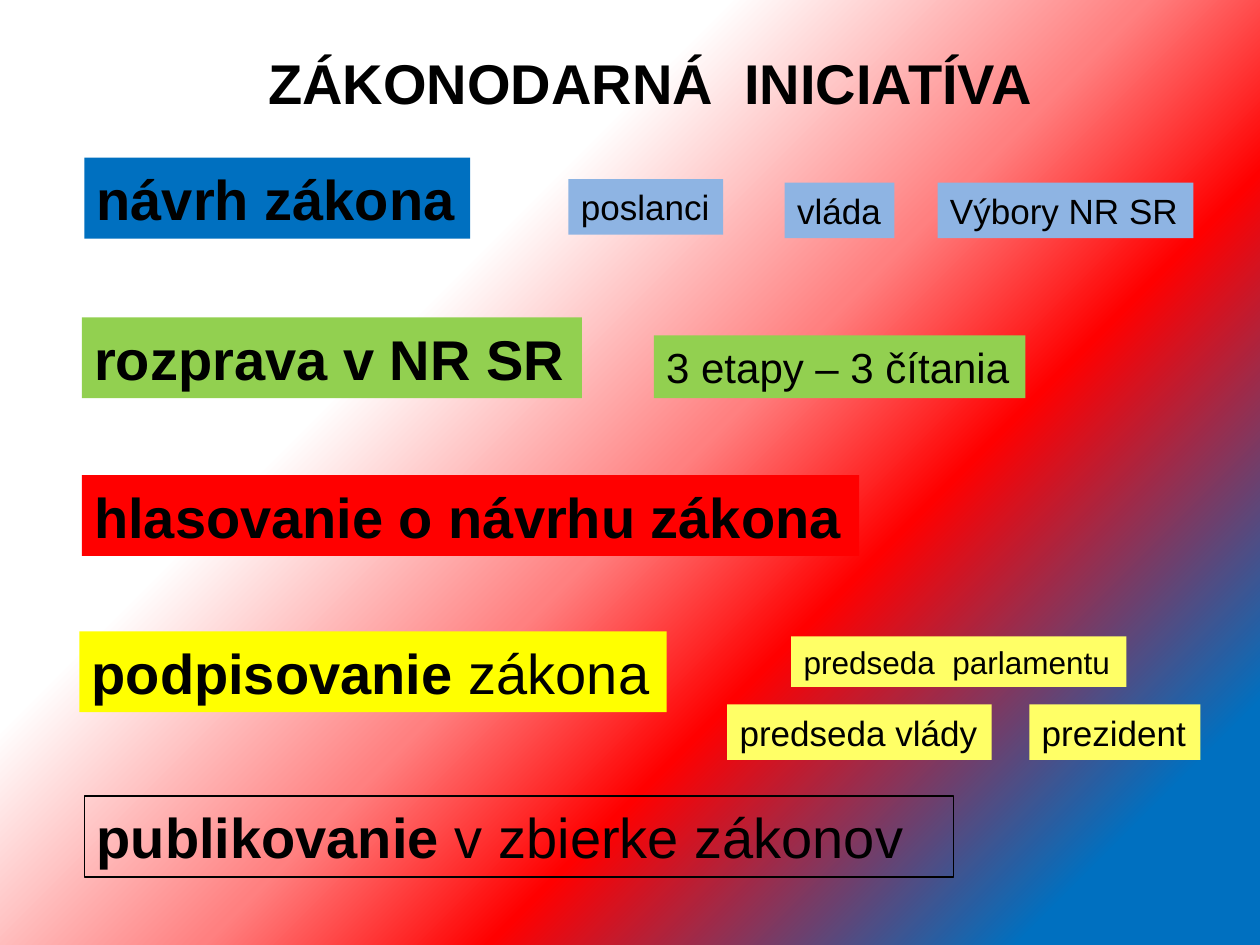
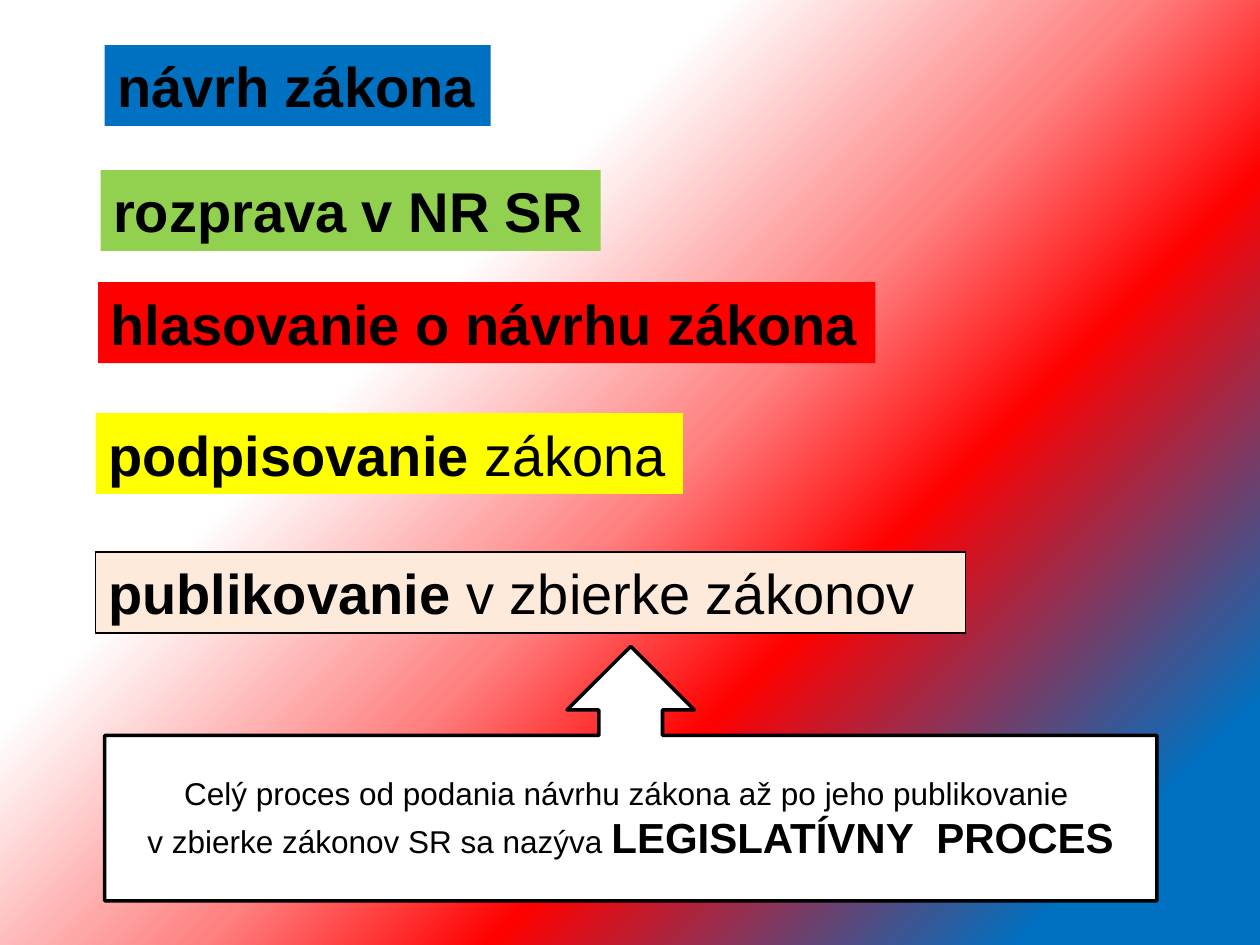
from lxml import etree
from pptx import Presentation
from pptx.dml.color import RGBColor
from pptx.enum.shapes import MSO_SHAPE as Shape
from pptx.enum.text import MSO_ANCHOR as Anchor, PP_ALIGN as Align
from pptx.oxml.ns import qn
from pptx.util import Cm, Pt

FONT = "Arial"
BLACK, WHITE = "000000", "FFFFFF"
BLUE, GREEN, RED, YELLOW = "0070C0", "92D050", "FF0000", "FFFF00"
PALE_BLUE, PALE_YELLOW, PEACH = "8EB4E3", "FFFF66", "FDEADA"
BACKDROP = [(11, BLUE), (35, RED), (48, "FF8080"), (67, WHITE)]

# Steps of the process: bold part, plain part, fill, width in cm
STEPS = [
    ("návrh zákona", "", BLUE, 7.78),
    ("rozprava v NR SR", "", GREEN, 10.08),
    ("hlasovanie o návrhu zákona", "", RED, 15.67),
    ("podpisovanie", " zákona", YELLOW, 11.84),
    ("publikovanie ", "v zbierke zákonov", None, 17.53),
]
STEP_HEIGHT = 1.63

# Labels beside a step: step number, fill, [(text, dx, dy, width, height, size)]
DETAILS = [
    (0, PALE_BLUE, [("poslanci", 9.76, 0.43, 3.12, 1.12, 20),
                    ("vláda", 14.12, 0.5, 2.21, 1.12, 20),
                    ("Výbory NR SR", 17.2, 0.5, 5.16, 1.12, 20)]),
    (1, GREEN, [("3 etapy – 3 čítania", 11.53, 0.36, 7.49, 1.27, 24)]),
    (3, PALE_YELLOW, [("prezident", 19.15, 1.47, 3.45, 1.12, 20),
                      ("predseda  parlamentu", 14.35, 0.1, 6.76, 1.02, 18),
                      ("predseda vlády", 13.06, 1.47, 5.33, 1.12, 20)]),
]


def rgb(value):
    return RGBColor.from_string(value)


def paint_backdrop(master):
    """Give all slides a gradient that spreads from the bottom right corner."""
    master.background.fill.gradient()
    gradient = master.element.find(".//" + qn("a:gradFill"))
    for child in list(gradient):
        gradient.remove(child)
    stops = etree.SubElement(gradient, qn("a:gsLst"))
    for position, color in BACKDROP:
        stop = etree.SubElement(stops, qn("a:gs"), pos=str(position * 1000))
        etree.SubElement(stop, qn("a:srgbClr"), val=color)
    spread = etree.SubElement(gradient, qn("a:path"), path="circle")
    etree.SubElement(spread, qn("a:fillToRect"), l="100000", t="100000")


def add_panel(slide, kind, box, fill=None, outline=None):
    panel = slide.shapes.add_shape(kind, *map(Cm, box))
    panel.shadow.inherit = False
    if fill:
        panel.fill.solid()
        panel.fill.fore_color.rgb = rgb(fill)
    else:
        panel.fill.background()
    if outline:
        panel.line.color.rgb = rgb(BLACK)
        panel.line.width = Pt(outline)
    else:
        panel.line.fill.background()
    return panel


def write_runs(paragraph, runs, align=Align.LEFT):
    """Write (text, size, bold) runs into a paragraph."""
    paragraph.alignment = align
    for text, size, bold in runs:
        run = paragraph.add_run()
        run.text = text
        run.font.name = FONT
        run.font.size = Pt(size)
        run.font.bold = bold
        run.font.color.rgb = rgb(BLACK)


def write_line(shape, runs):
    frame = shape.text_frame
    frame.word_wrap = True
    frame.margin_right = 0
    write_runs(frame.paragraphs[0], runs)


def add_title(slide, text, box):
    title = slide.shapes.add_textbox(*map(Cm, box))
    write_line(title, [(text, 32, True)])


def add_steps(slide, corners, last_fill=None):
    """Place one step at each corner; only the last one is outlined."""
    for (left, top), (strong, plain, fill, width) in zip(corners, STEPS):
        panel = add_panel(slide, Shape.RECTANGLE, (left, top, width, STEP_HEIGHT),
                          fill or last_fill, None if fill else 0.75)
        runs = [(strong, 32, True)]
        if plain:
            runs.append((plain, 32, False))
        write_line(panel, runs)


def add_details(slide, corner, fill, labels):
    """Place labels relative to the corner of their step."""
    left, top = corner
    for text, dx, dy, width, height, size in labels:
        label = add_panel(slide, Shape.RECTANGLE, (left + dx, top + dy, width, height), fill)
        write_line(label, [(text, size, False)])


def add_summary(slide, box):
    summary = add_panel(slide, Shape.UP_ARROW_CALLOUT, box, WHITE, 2)
    frame = summary.text_frame
    frame.word_wrap = True
    frame.vertical_anchor = Anchor.MIDDLE
    write_runs(frame.paragraphs[0], [
        ("Celý proces od podania návrhu zákona až po jeho publikovanie ", 18, False),
    ], Align.CENTER)
    write_runs(frame.add_paragraph(), [
        ("v zbierke zákonov SR sa nazýva ", 18, False),
        ("LEGISLATÍVNY  PROCES", 24, True),
    ], Align.CENTER)


def build_initiative(slide):
    corners = [(1.7, 3.18), (1.65, 6.4), (1.65, 9.58), (1.6, 12.73), (1.7, 16.05)]
    add_steps(slide, corners)
    for step, fill, labels in DETAILS:
        add_details(slide, corners[step], fill, labels)
    add_title(slide, "ZÁKONODARNÁ  INICIATÍVA", (5.16, 0.86, 16.05, STEP_HEIGHT))


def build_process(slide):
    corners = [(2.11, 0.91), (2.03, 3.43), (1.98, 5.69), (1.93, 8.33), (1.93, 11.13)]
    add_steps(slide, corners, PEACH)
    add_summary(slide, (2.11, 13.03, 21.21, 5.13))


def main():
    deck = Presentation()
    deck.slide_width, deck.slide_height = Cm(25.4), Cm(19.05)
    paint_backdrop(deck.slide_master)
    for build in (build_initiative, build_process):
        build(deck.slides.add_slide(deck.slide_layouts[6]))
    deck.save("out.pptx")


if __name__ == "__main__":
    main()
